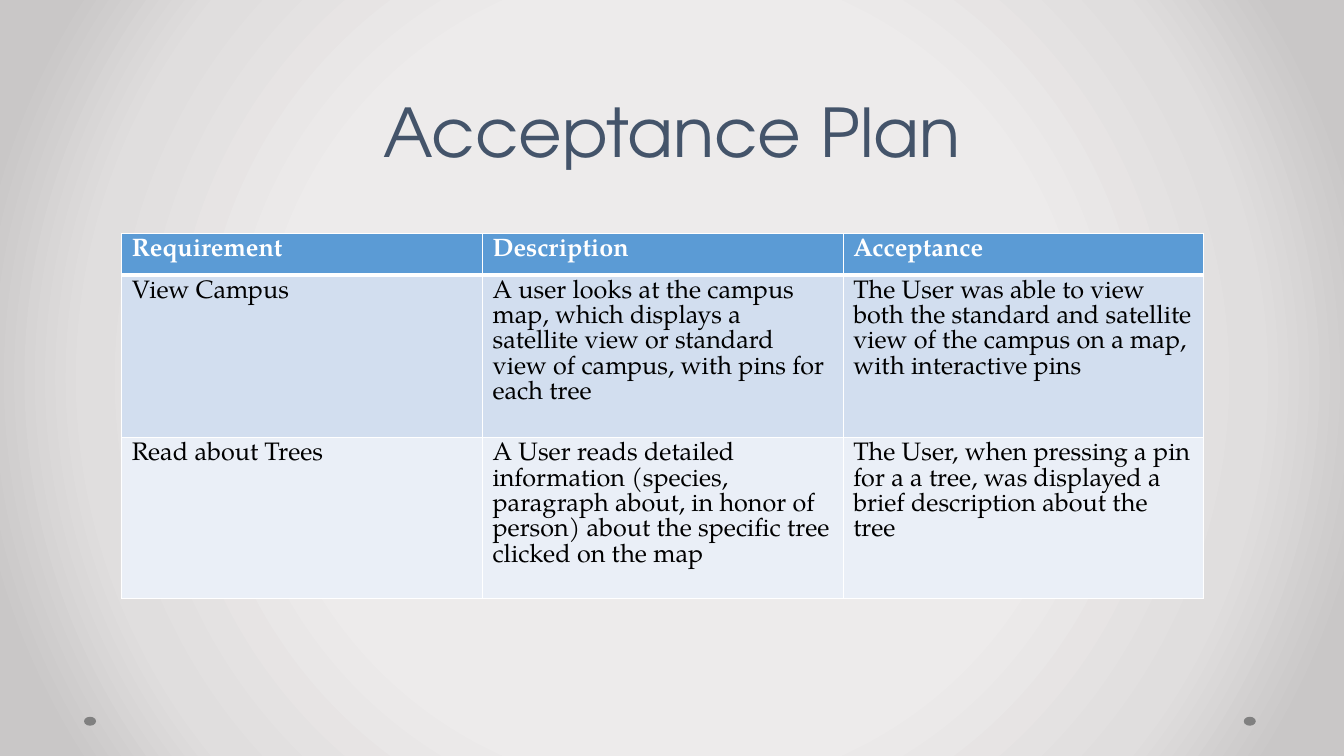
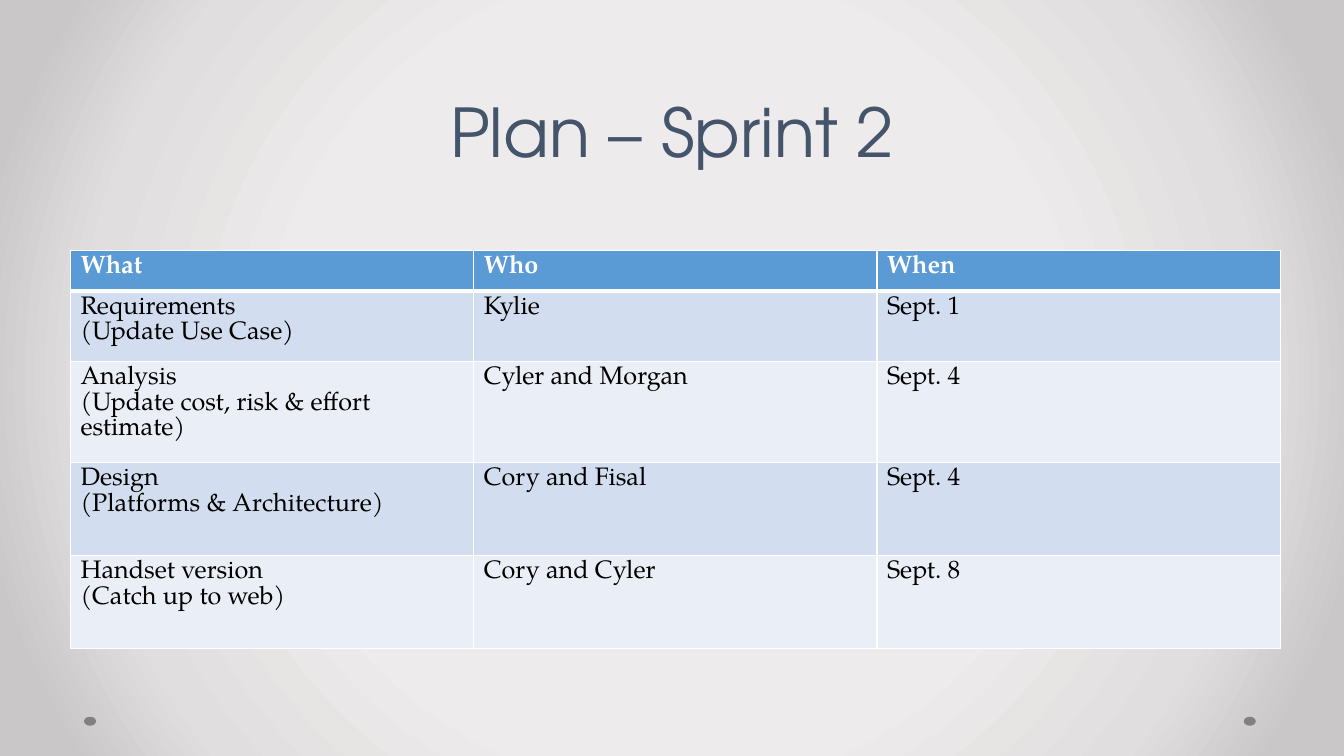
from lxml import etree
from pptx import Presentation
from pptx import util as u
from pptx.dml.color import RGBColor
from pptx.enum import shapes, text
from pptx.oxml import ns

Pt = u.Pt
WIDE, HIGH = 960, 540
SLATE = RGBColor(0x44, 0x54, 0x6A)
GREY = RGBColor(0x80, 0x80, 0x80)
BLUE = RGBColor(0x5B, 0x9B, 0xD5)
BANDS = (RGBColor(0xD2, 0xDE, 0xEF), RGBColor(0xEA, 0xEF, 0xF7))
WHITE = RGBColor(0xFF, 0xFF, 0xFF)
BLACK = RGBColor(0, 0, 0)
GLOW = ((50, RGBColor(0xED, 0xEB, 0xEB)), (76, RGBColor(0xE0, 0xDE, 0xDE)),
        (92, RGBColor(0xC9, 0xC7, 0xC7)))

TITLE = {"name": "TeX Gyre Adventor", "size": Pt(48)}
HEAD = {"name": "TeX Gyre Pagella", "size": Pt(18), "bold": True}
BODY = {**HEAD, "bold": False}

PLANS = [
    {"title": "Acceptance Plan",
     "box": (87, 167, 773),
     "highs": (29.4, 116, 98),
     "rows": [
         ("Requirement", "Description", "Acceptance"),
         ("View Campus",
          "A user looks at the campus map, which displays a satellite view "
          "or standard view of campus, with pins for each tree",
          "The User was able to view both the standard and satellite view "
          "of the campus on a map, with interactive pins"),
         ("Read about Trees",
          "A User reads detailed information (species, paragraph about, in "
          "honor of person) about the specific tree clicked on the map",
          "The User, when pressing a pin for a a tree, was displayed a brief "
          "description about the tree")]},
    {"title": "Plan – Sprint 2",
     "box": (50.4, 179, 864),
     "highs": (26.6, 47, 67, 66.4, 66.4),
     "rows": [
         ("What", "Who", "When"),
         ("Requirements\n(Update Use Case)", "Kylie", "Sept. 1"),
         ("Analysis\n(Update cost, risk & effort estimate)",
          "Cyler and Morgan", "Sept. 4"),
         ("Design\n(Platforms & Architecture)", "Cory and Fisal", "Sept. 4"),
         ("Handset version\n(Catch up to web)", "Cory and Cyler", "Sept. 8")]},
]


def add(root, tag, **attrs):
    """Append a drawing element with the given attributes."""
    return etree.SubElement(root, ns.qn(tag), attrs)


def style(font, look, color):
    """Apply a dict of format values and a colour to a font."""
    for key, val in look.items():
        setattr(font, key, val)
    font.color.rgb = color


def paint(master):
    """Give the master its round grey glow."""
    fill = master.background.fill
    fill.gradient()
    grad = next(master.element.iter(ns.qn("a:gradFill")))
    for part in list(grad):
        grad.remove(part)
    stops = add(grad, "a:gsLst")
    for pos, color in GLOW:
        add(add(stops, "a:gs", pos=str(pos * 1000)), "a:srgbClr", val=str(color))
    ring = add(grad, "a:path", path="circle")
    add(ring, "a:fillToRect", **dict.fromkeys("ltrb", "50000"))


def add_dots(slide):
    """Place the two footer dots, mirrored about the middle."""
    wide, high, edge = 8.6, 6.4, 60
    for left in (edge, WIDE - edge - wide - 3):
        dot = slide.shapes.add_shape(shapes.MSO_SHAPE.OVAL, Pt(left), Pt(512),
                                     Pt(wide), Pt(high))
        dot.shadow.inherit = False
        dot.fill.solid()
        dot.fill.fore_color.rgb = GREY
        dot.line.fill.background()


def add_title(slide, words):
    """Place the centred title at the foot of its band."""
    frame = slide.shapes.add_textbox(Pt(48), 0, Pt(WIDE - 96), Pt(126)).text_frame
    frame.word_wrap = True
    frame.vertical_anchor = text.MSO_ANCHOR.BOTTOM
    para = frame.paragraphs[0]
    para.text = words
    para.alignment = text.PP_ALIGN.CENTER
    para.line_spacing = Pt(48)
    style(para.font, TITLE, SLATE)


def rule(cell, top, base):
    """Draw white cell borders with the given top and base weights."""
    props = cell._tc.get_or_add_tcPr()
    for side, weight in zip("LRTB", (1, 1, top, base)):
        line = add(props, f"a:ln{side}", w=str(Pt(weight)))
        add(add(line, "a:solidFill"), "a:srgbClr", val=str(WHITE))


def add_grid(slide, box, highs, rows):
    """Place a table with a blue head and banded rows in the box."""
    left, top, wide = box
    count = len(rows[0])
    grid = slide.shapes.add_table(len(rows), count, Pt(left), Pt(top),
                                  Pt(wide), Pt(sum(highs))).table
    for col in grid.columns:
        col.width = Pt(wide / count)
    for i, (high, row) in enumerate(zip(highs, rows)):
        grid.rows[i].height = Pt(high)
        look, ink, back = (BODY, BLACK, BANDS[(i - 1) % 2]) if i else (HEAD, WHITE, BLUE)
        for j, words in enumerate(row):
            cell = grid.cell(i, j)
            cell.text = words
            rule(cell, 3 if i == 1 else 1, 1 if i else 3)
            cell.fill.solid()
            cell.fill.fore_color.rgb = back
            for para in cell.text_frame.paragraphs:
                style(para.font, look, ink)


def add_plan(deck, plan):
    """Add one plan slide with its dots, title and table."""
    slide = deck.slides.add_slide(deck.slide_layouts[6])
    add_dots(slide)
    add_title(slide, plan["title"])
    add_grid(slide, plan["box"], plan["highs"], plan["rows"])


def main():
    """Build and save the deck."""
    deck = Presentation()
    deck.slide_width, deck.slide_height = Pt(WIDE), Pt(HIGH)
    paint(deck.slide_master)
    for plan in PLANS:
        add_plan(deck, plan)
    deck.save("out.pptx")


if __name__ == "__main__":
    main()
